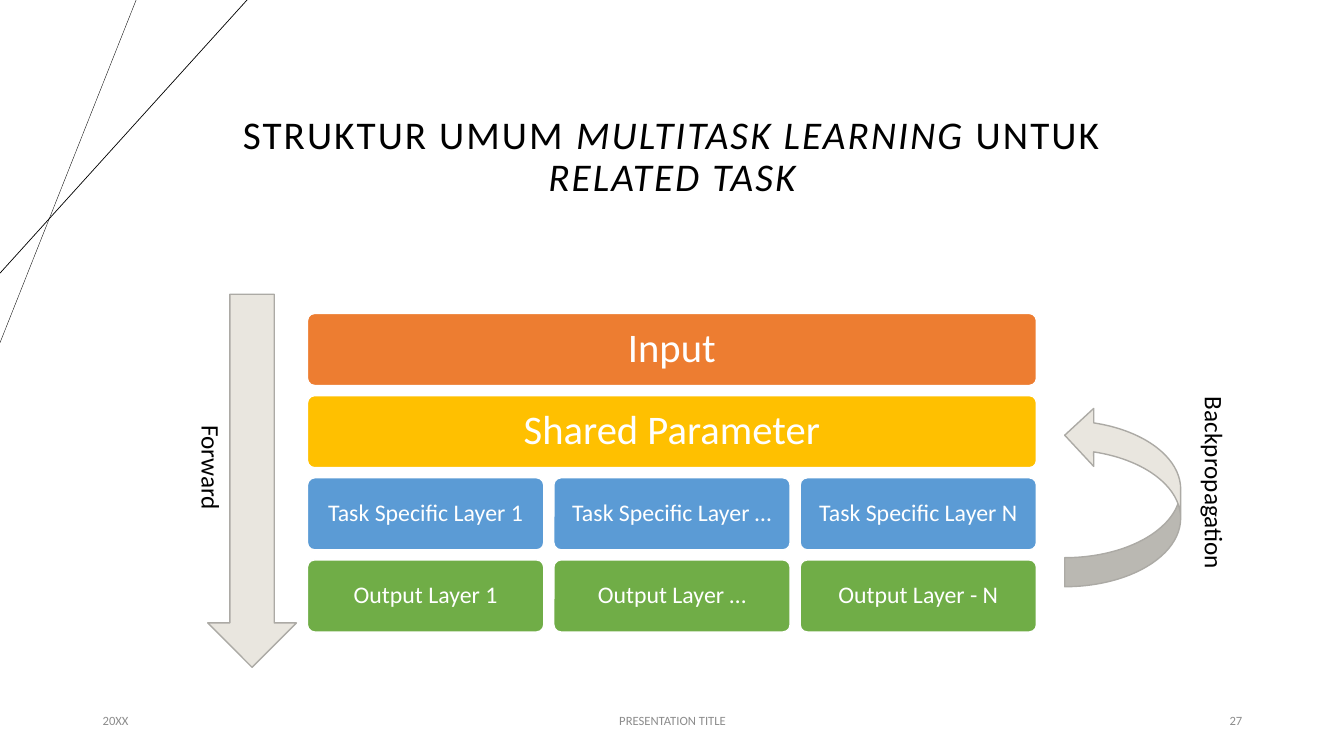
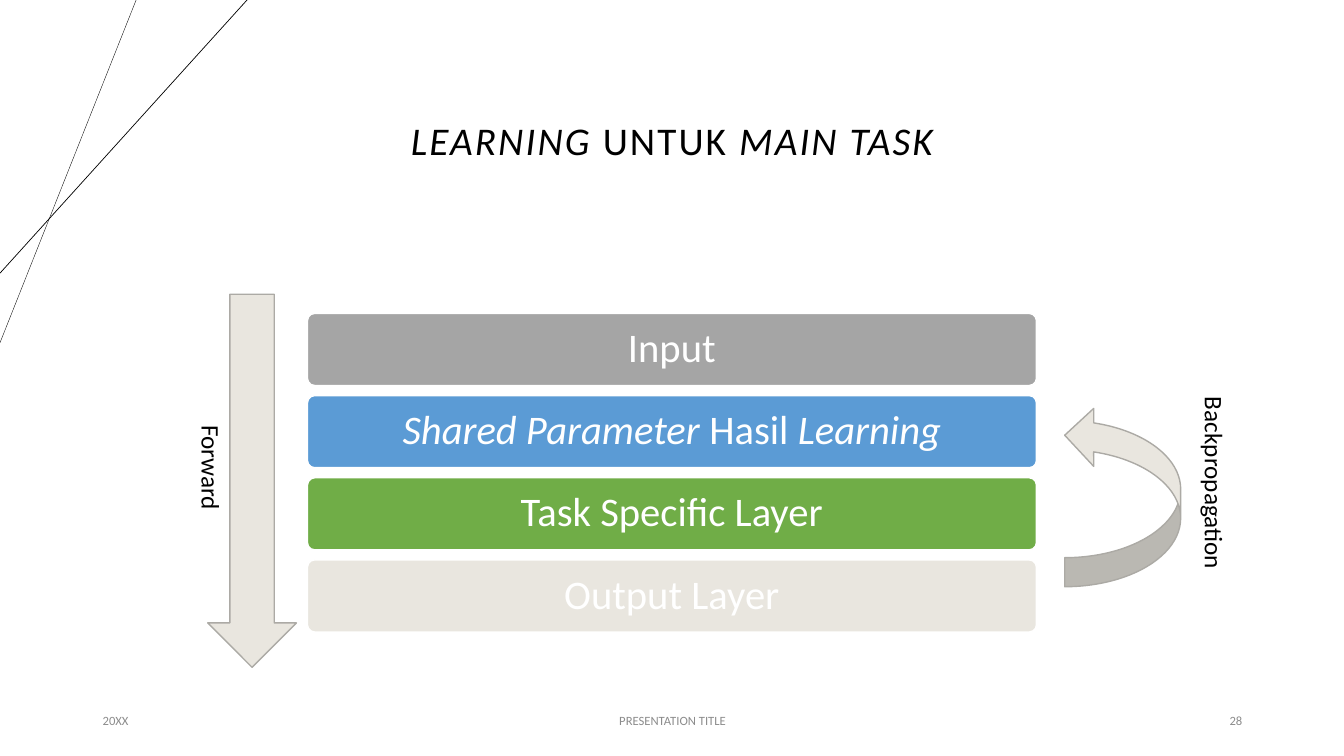
from lxml import etree
from pptx import Presentation
from pptx.dml.color import RGBColor
from pptx.enum.shapes import MSO_CONNECTOR, MSO_SHAPE
from pptx.enum.text import MSO_ANCHOR, MSO_AUTO_SIZE, PP_ALIGN
from pptx.oxml.ns import qn
from pptx.util import Inches, Pt

FONT = "Calibri"
BLACK, WHITE, GREY = "000000", "FFFFFF", "8C8C8C"
ORANGE, GOLD, BLUE, GREEN = "ED7D31", "FFC000", "5B9BD5", "70AD47"
SILVER, SAND, SAND_EDGE = "A5A5A5", "E9E6DF", "ACAAA5"
LEFT, CENTER, RIGHT = PP_ALIGN.LEFT, PP_ALIGN.CENTER, PP_ALIGN.RIGHT


def color(value):
    return RGBColor.from_string(value)


def write(frame, text, size=18, ink=BLACK, align=LEFT, spacing=None, tracking=None):
    """Write one paragraph; words between asterisks are italic."""
    para = frame.paragraphs[0]
    para.alignment = align
    if spacing:
        para.line_spacing = spacing
    for index, words in enumerate(text.split("*")):
        if not words:
            continue
        span = para.add_run()
        span.text = words
        font = span.font
        font.name, font.size = FONT, Pt(size)
        font.color.rgb = color(ink)
        font.italic = index % 2 == 1
        if tracking:
            font._element.set("spc", str(int(tracking * 100)))


def add_text(page, box, text, **style):
    frame = page.shapes.add_textbox(*map(Inches, box)).text_frame
    frame.word_wrap = True
    frame.vertical_anchor = MSO_ANCHOR.MIDDLE
    write(frame, text, **style)
    return frame


def add_vertical_text(page, box, text):
    frame = add_text(page, box, text)
    frame.word_wrap = False
    frame.vertical_anchor = MSO_ANCHOR.TOP
    frame.auto_size = MSO_AUTO_SIZE.SHAPE_TO_FIT_TEXT
    frame._txBody.bodyPr.set("vert", "eaVert")


def add_filled(page, kind, box, fill, edge):
    shape = page.shapes.add_shape(kind, *map(Inches, box))
    shape.shadow.inherit = False
    shape.fill.solid()
    shape.fill.fore_color.rgb = color(fill)
    shape.line.color.rgb = color(edge)
    shape.line.width = Pt(1)
    return shape


def add_corner_lines(page):
    for top_x, left_y, width in ((1.35, 3.4, 0.25), (2.45, 2.71, 0.5)):
        ends = map(Inches, (top_x, 0, 0, left_y))
        line = page.shapes.add_connector(MSO_CONNECTOR.STRAIGHT, *ends)
        line.line.color.rgb = color(BLACK)
        line.line.width = Pt(width)
        etree.SubElement(line._element.spPr, qn("a:effectLst"))


def add_footer(page, number):
    parts = (
        (0.92, 3, "20XX", LEFT),
        (4.42, 4.5, "PRESENTATION TITLE", CENTER),
        (9.42, 3, str(number), RIGHT),
    )
    for left, width, text, align in parts:
        add_text(page, (left, 6.95, width, 0.4), text, size=9, ink=GREY, align=align)


def add_layers(page, box, rows, gap=0.1):
    """Stack rows of equal height; each row splits its width evenly."""
    left, top, width, height = box
    row_height = (height - gap * (len(rows) - 1)) / len(rows)
    for row, (fill, labels) in enumerate(rows):
        block_width = (width - gap * (len(labels) - 1)) / len(labels)
        size, inset = (29, 0.12) if len(labels) == 1 else (17, 0.07)
        for column, label in enumerate(labels):
            place = (left + column * (block_width + gap),
                     top + row * (row_height + gap), block_width, row_height)
            block = add_filled(page, MSO_SHAPE.ROUNDED_RECTANGLE, place, fill, WHITE)
            block.adjustments[0] = 0.1
            frame = block.text_frame
            frame.word_wrap = True
            frame.vertical_anchor = MSO_ANCHOR.MIDDLE
            frame.margin_left = frame.margin_right = Inches(inset)
            frame.margin_top = frame.margin_bottom = Inches(inset)
            write(frame, label, size=size, ink=WHITE, align=CENTER, spacing=0.9)


def add_flow_arrows(page, box):
    """Forward arrow left of the layers, backpropagation arrow right of them."""
    left, top, width, _ = box
    right = left + width
    add_filled(page, MSO_SHAPE.DOWN_ARROW,
               (left - 0.99, top - 0.19, 0.88, 3.7), SAND, SAND_EDGE)
    back = add_filled(page, MSO_SHAPE.CURVED_RIGHT_ARROW,
                      (right + 0.28, top + 0.92, 1.15, 1.79), SAND, SAND_EDGE)
    back.rotation = 180
    add_vertical_text(page, (right + 1.16, top + 0.73, 0.81, 1.97), "Backpropagation")
    add_vertical_text(page, (left - 1.56, top + 1.01, 0.81, 0.99), "Forward")


def add_network_slide(deck, number, title, title_top, rows):
    page = deck.slides.add_slide(deck.slide_layouts[6])
    box = (3.05, 3.11, 7.23, 3.16)
    add_corner_lines(page)
    add_text(page, (2.06, title_top, 9.21, 1.45), title, size=28,
             align=CENTER, spacing=0.9, tracking=1.5)
    add_layers(page, box, rows)
    add_footer(page, number)
    add_flow_arrows(page, box)


def main():
    deck = Presentation()
    deck.slide_width, deck.slide_height = Inches(13.33), Inches(7.5)

    # Related tasks: shared layers, then one branch per task
    add_network_slide(
        deck, 27, "STRUKTUR UMUM *MULTITASK LEARNING *UNTUK *RELATED TASK*", 0.84,
        [
            (ORANGE, ["Input"]),
            (GOLD, ["Shared Parameter"]),
            (BLUE, [f"Task Specific Layer {task}" for task in ("1", "…", "N")]),
            (GREEN, [f"Output Layer {task}" for task in ("1", "…", "- N")]),
        ])

    # Main task: a single stack
    add_network_slide(
        deck, 28, "*LEARNING *UNTUK *MAIN TASK*", 0.69,
        [
            (SILVER, ["Input"]),
            (BLUE, ["*Shared Parameter* Hasil *Learning*"]),
            (GREEN, ["Task Specific Layer"]),
            (SAND, ["Output Layer"]),
        ])

    deck.save("out.pptx")


if __name__ == "__main__":
    main()
